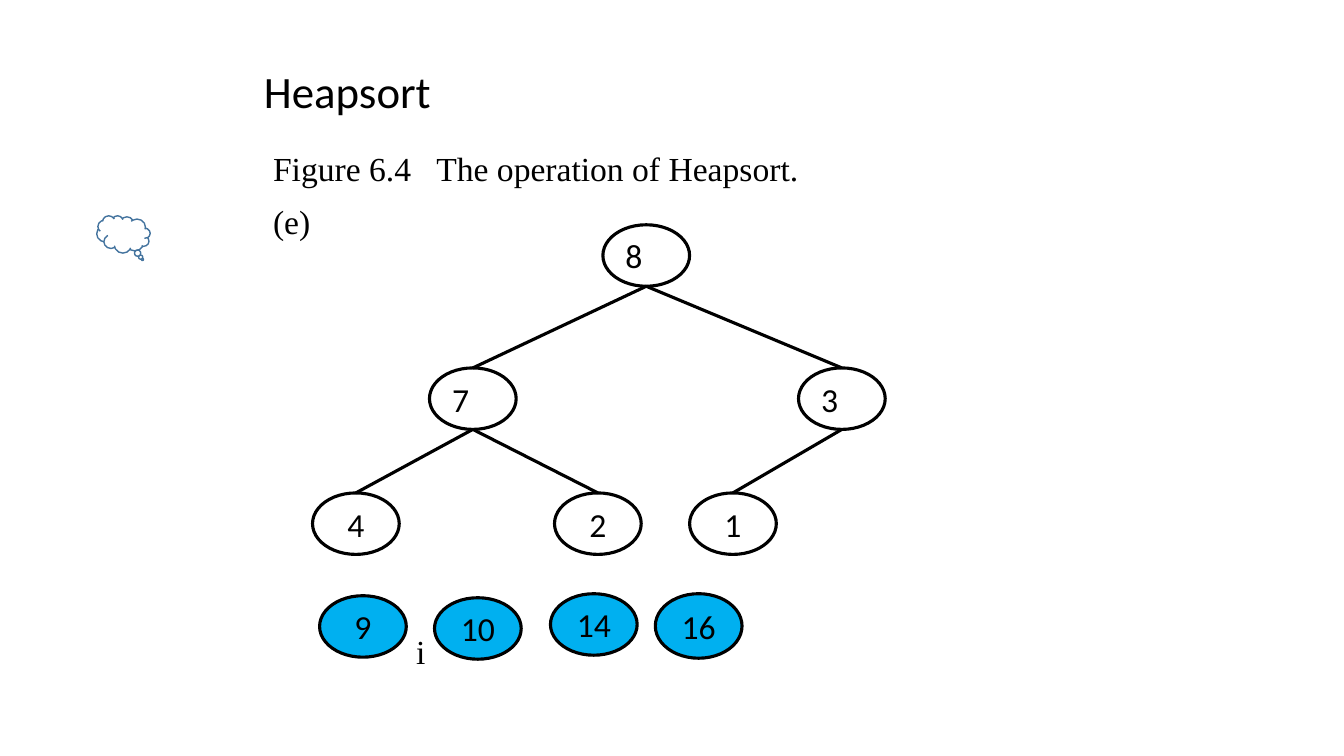
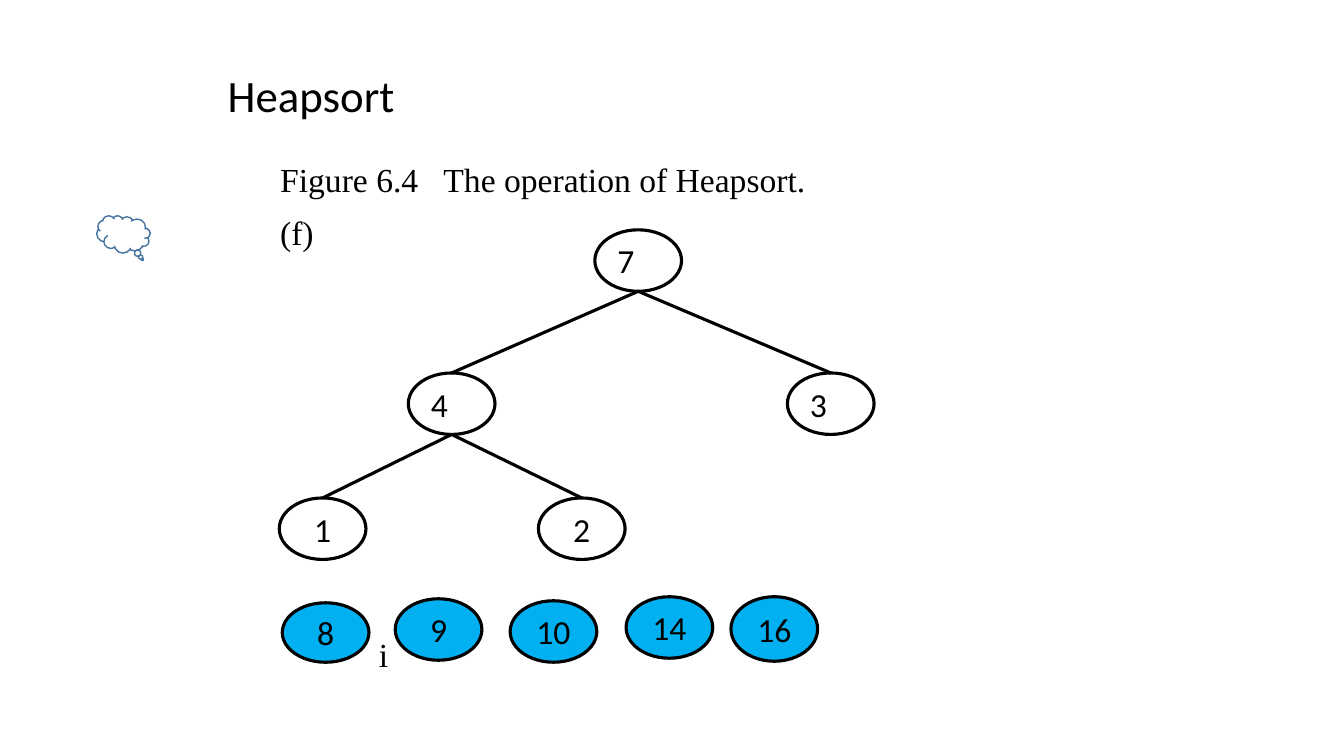
from lxml.etree import SubElement
from pptx import Presentation
from pptx.dml.color import RGBColor
from pptx.enum.shapes import MSO_CONNECTOR, MSO_SHAPE
from pptx.enum.text import MSO_ANCHOR, PP_ALIGN
from pptx.oxml.ns import qn
from pptx.util import Inches, Pt

COLORS = {"ink": "000000", "paper": "FFFFFF", "sorted": "00B0F0", "cloud": "43739E"}
SANS, SERIF = "Calibri", "Times New Roman"
NODE_WIDTH, NODE_HEIGHT = 0.86, 0.61
LEVEL_TOPS = (0, 1.42, 2.66)
SORTED_NODES = {
    8: (-1.12, 0.04, 0.59),
    9: (0, 0, NODE_HEIGHT),
    10: (1.14, 0.02, NODE_HEIGHT),
    14: (2.29, -0.02, NODE_HEIGHT),
    16: (3.33, -0.02, 0.64),
}
STEPS = [
    {
        "label": "(e)", "title": (2.52, 0.58, 1.87, 0.64),
        "caption": (2.61, 1.3, 5.74, 1.1), "tree_top": 2.23,
        "heap": [(8, 5.98), (7, 4.26), (3, 7.92), (4, 3.1), (2, 5.5), (1, 6.84)],
        "row": (3.17, 5.91), "sorted": (9, 10, 14, 16),
    },
    {
        "label": "(f)", "title": (2.16, 0.62, 1.87, 0.64),
        "caption": (2.68, 1.41, 6.18, 1.1), "tree_top": 2.28,
        "heap": [(7, 5.9), (4, 4.05), (3, 7.81), (1, 2.77), (2, 5.34)],
        "row": (3.92, 5.94), "sorted": (8, 9, 10, 14, 16),
    },
]


def color(name):
    """Return the named colour."""
    return RGBColor.from_string(COLORS[name])


def set_font(para, face, size):
    """Set the face, size and ink colour of a paragraph."""
    para.font.name = face
    para.font.size = Pt(size)
    para.font.color.rgb = color("ink")


def add_text(page, box, lines, face, size, wrap=True):
    """Place a text box and return its paragraphs."""
    frame = page.shapes.add_textbox(*map(Inches, box)).text_frame
    frame.word_wrap = wrap
    frame.text = "\n".join(lines)
    for para in frame.paragraphs:
        set_font(para, face, size)
    return frame.paragraphs


def add_outline(page, kind, box, fill, line, width):
    """Place a filled, outlined preset shape without a shadow."""
    shape = page.shapes.add_shape(kind, *map(Inches, box))
    shape.shadow.inherit = False
    shape.fill.solid()
    shape.fill.fore_color.rgb = color(fill)
    shape.line.color.rgb = color(line)
    shape.line.width = Pt(width)
    return shape


def add_node(page, box, value, fill="paper", align=PP_ALIGN.CENTER):
    """Place an oval node with its value."""
    node = add_outline(page, MSO_SHAPE.OVAL, box, fill, "ink", 2.25)
    frame = node.text_frame
    frame.vertical_anchor = MSO_ANCHOR.MIDDLE
    frame.text = str(value)
    para = frame.paragraphs[0]
    para.alignment = align
    set_font(para, SANS, 24)


def add_edge(page, parent, child):
    """Join the bottom of a parent box to the top of a child box."""
    ends = (parent[0] + parent[2] / 2, parent[1] + parent[3],
            child[0] + child[2] / 2, child[1])
    edge = page.shapes.add_connector(MSO_CONNECTOR.STRAIGHT, *map(Inches, ends))
    edge.line.color.rgb = color("ink")
    edge.line.width = Pt(2.25)
    SubElement(edge._element.spPr, qn("a:effectLst"))


def add_tree(page, top, heap):
    """Draw the heap as a binary tree in level order."""
    boxes = []
    for index, (value, left) in enumerate(heap):
        level = (index + 1).bit_length() - 1
        box = (left, top + LEVEL_TOPS[level], NODE_WIDTH, NODE_HEIGHT)
        align = PP_ALIGN.CENTER if level == 2 else PP_ALIGN.LEFT
        add_node(page, box, value, align=align)
        boxes.append(box)
    for index, box in enumerate(boxes[1:], 1):
        add_edge(page, boxes[(index - 1) // 2], box)


def add_sorted_row(page, corner, values):
    """Draw the removed values and the index mark after the first one."""
    left, top = corner
    for value in values:
        across, down, height = SORTED_NODES[value]
        add_node(page, (left + across, top + down, NODE_WIDTH, height), value, "sorted")
    mark_left = left + SORTED_NODES[values[0]][0] + NODE_WIDTH
    add_text(page, (mark_left, top + 0.3, 0.53, 0.5), ["i"], SERIF, 24)


def add_caption(page, box, label):
    """Write the figure caption, with a tab stop after its number, and the step label."""
    lines = ["Figure 6.4\tThe operation of Heapsort.", label]
    paras = add_text(page, box, lines, SERIF, 24)
    for para in paras:
        para.line_spacing = 1.3
    properties = paras[0]._p.get_or_add_pPr()
    tabs = properties.makeelement(qn("a:tabLst"))
    SubElement(tabs, qn("a:tab"), pos=str(Inches(1.62)), algn="l")
    properties.find(qn("a:defRPr")).addprevious(tabs)


def add_cloud(page, box):
    """Place the mirrored thought cloud."""
    cloud = add_outline(page, MSO_SHAPE.CLOUD_CALLOUT, box, "paper", "cloud", 1)
    cloud.adjustments[0] = -0.355
    cloud.adjustments[1] = 0.674
    cloud._element.spPr.find(qn("a:xfrm")).set("flipH", "1")


def add_step(deck, step):
    """Build the slide of one heapsort step."""
    page = deck.slides.add_slide(deck.slide_layouts[6])
    add_tree(page, step["tree_top"], step["heap"])
    add_sorted_row(page, step["row"], step["sorted"])
    add_caption(page, step["caption"], step["label"])
    add_cloud(page, (0.96, 2.14, 0.53, 0.37))
    add_text(page, step["title"], ["Heapsort"], SANS, 32, wrap=False)


def main():
    """Build and save the deck."""
    deck = Presentation()
    deck.slide_width, deck.slide_height = Inches(13.33), Inches(7.5)
    for step in STEPS:
        add_step(deck, step)
    deck.save("out.pptx")


main()
